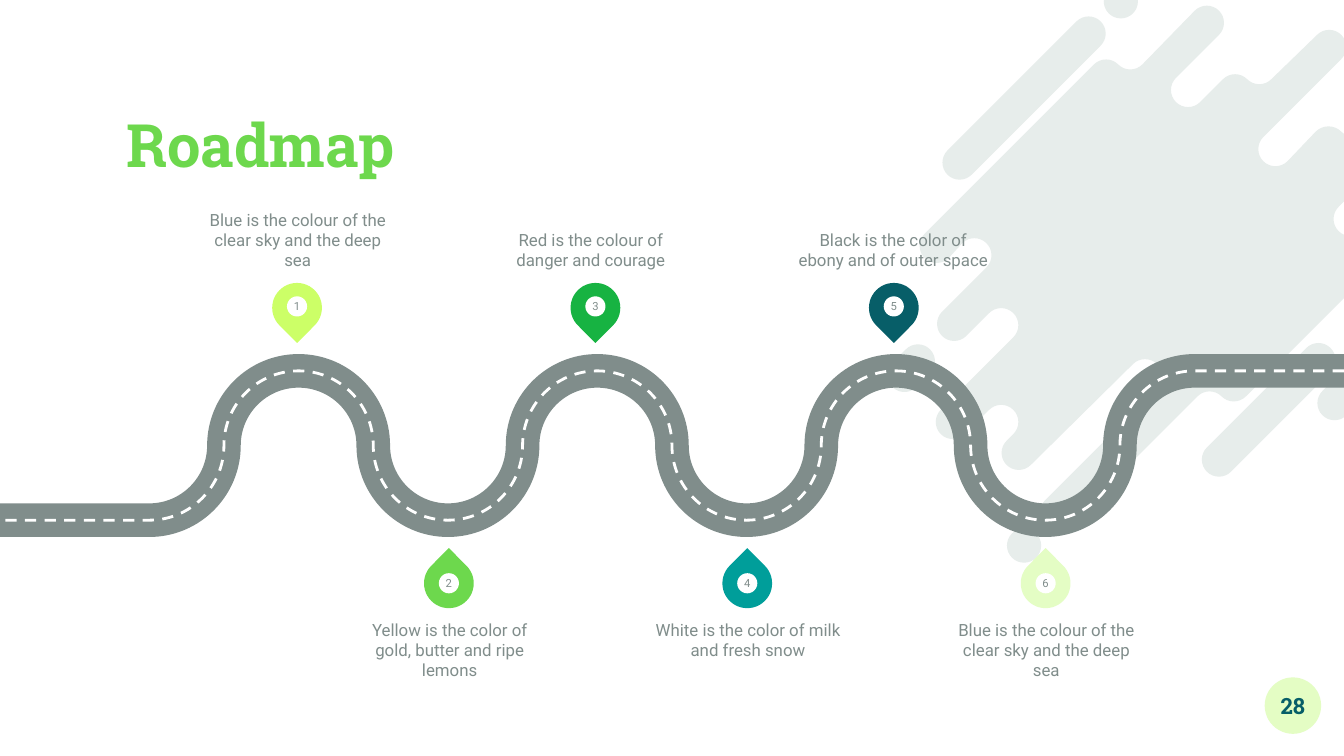
from dataclasses import dataclass
from math import hypot, sqrt

from lxml.etree import SubElement
from pptx import Presentation
from pptx.dml.color import RGBColor
from pptx.enum.dml import MSO_LINE
from pptx.enum.shapes import MSO_SHAPE
from pptx.enum.text import MSO_ANCHOR, PP_ALIGN
from pptx.oxml.ns import qn
from pptx.util import Inches, Pt


@dataclass(frozen=True)
class Theme:
    """Colours, fonts and type sizes of the slide."""
    white: str = "FFFFFF"
    splash: str = "E7EDEB"
    grey: str = "808D8B"
    green: str = "6DD84D"
    emerald: str = "17B342"
    lime: str = "CCFF67"
    pale: str = "E4FDC4"
    teal: str = "009E9A"
    petrol: str = "075E68"
    heading_font: str = "Roboto Slab"
    body_font: str = "Roboto"
    title_size: int = 32
    page_size: int = 12
    caption_size: int = 9
    number_size: int = 6


THEME = Theme()
NORTH_EAST = (sqrt(0.5), -sqrt(0.5))
WEST = (-1, 0)
CAP = 0.09
PIN_SIZE, DOT_SIZE = 0.37, 0.15
PIN_STEP = 2.22
CAPTION_WIDTH, CAPTION_HEIGHT = 1.41, 0.58

BARS = [
    (9.93, 3.00, 0.46), (10.64, 0.68, 0.24), (9.07, 3.42, 0.74), (7.62, 4.06, 0),
    (10.65, 2.27, 0), (6.73, 2.79, 0.10), (7.14, 1.21, 0.96), (8.34, 0.01, 0),
]
BLOB = [
    (7.06, 1.92), (7.16, 1.81), (7.34, 1.81), (7.34, 1.99), (7.01, 2.32), (7.01, 2.50),
    (7.19, 2.50), (7.36, 2.33), (7.54, 2.33), (7.54, 2.51), (7.00, 3.05), (7.00, 3.23),
    (7.18, 3.23), (7.36, 3.05), (7.54, 3.05), (7.54, 3.23), (7.49, 3.28), (7.49, 3.46),
    (7.67, 3.46), (8.43, 2.71), (8.61, 2.71), (8.61, 2.89), (7.77, 3.73), (7.77, 3.91),
    (7.95, 3.91), (8.91, 2.95), (9.09, 2.95), (9.27, 2.95), (10.52, 1.70), (10.52, 1.52),
    (10.34, 1.52), (10.14, 1.72), (9.96, 1.72), (9.96, 1.54), (10.45, 1.05), (10.45, 0.87),
    (10.27, 0.87), (10.16, 0.98), (9.98, 0.98), (9.79, 0.98), (9.58, 1.20), (9.40, 1.20),
    (9.40, 1.02), (9.98, 0.44), (9.98, 0.26), (9.80, 0.26), (9.46, 0.59), (9.28, 0.59),
    (9.10, 0.59), (8.93, 0.76), (8.75, 0.76), (8.75, 0.58), (9.07, 0.26), (9.07, 0.08),
    (8.89, 0.08), (8.50, 0.48), (8.32, 0.48), (8.14, 0.48), (6.88, 1.74), (6.88, 1.92),
    (7.06, 1.92),
]
UPPER_STOPS = [
    ("1", THEME.lime, 1.51, "Blue is the colour of the clear sky and the deep sea"),
    ("3", THEME.emerald, 3.69, "Red is the colour of danger and courage"),
    ("5", THEME.petrol, 5.94, "Black is the color of ebony and of outer space"),
]
LOWER_STOPS = [
    ("2", THEME.green, 2.64, "Yellow is the color of gold, butter and ripe lemons"),
    ("4", THEME.teal, 4.86, "White is the color of milk and fresh snow"),
    ("6", THEME.pale, 7.08, "Blue is the colour of the clear sky and the deep sea"),
]


def trace(points, heading):
    """Return straight segments along the heading and quarter turns elsewhere."""
    segments = []
    hx, hy = heading
    for (x, y), (next_x, next_y) in zip(points, points[1:]):
        dx, dy = next_x - x, next_y - y
        chord = hypot(dx, dy)
        cross = hx * dy - hy * dx
        if abs(cross) <= 0.1 * chord:
            segments.append([(next_x, next_y)])
            continue
        reach = 0.39 * chord
        leave = (x + reach * hx, y + reach * hy)
        hx, hy = (-hy, hx) if cross > 0 else (hy, -hx)
        arrive = (next_x - reach * hx, next_y - reach * hy)
        segments.append([leave, arrive, (next_x, next_y)])
    return segments


def add_outline(slide, contours, heading, close):
    """Draw contours of lines and quarter turns as one freeform."""
    def emu(point):
        return tuple(Inches(value) for value in point)

    builder = slide.shapes.build_freeform(*emu(contours[0][0]))
    segments = []
    for index, points in enumerate(contours):
        if index:
            builder.move_to(*emu(points[0]))
        traced = trace(points, heading)
        builder.add_line_segments([emu(p) for s in traced for p in s], close=close)
        segments += traced
    shape = builder.convert_to_shape()
    shape.shadow.inherit = False
    steps = iter(list(shape._element.iter(qn("a:lnTo"))))
    for segment in segments:
        nodes = [next(steps) for _ in segment]
        if len(nodes) == 3:
            curve = SubElement(nodes[0].getparent(), qn("a:cubicBezTo"))
            nodes[0].addprevious(curve)
            for node in nodes:
                curve.append(node[0])
                node.getparent().remove(node)
    return shape


def paint(shape, color):
    """Give a shape a plain fill without line or shadow."""
    shape.shadow.inherit = False
    shape.fill.solid()
    shape.fill.fore_color.rgb = RGBColor.from_string(color)
    shape.line.fill.background()


def write(shape, text, size, color, font, bold=False, align=PP_ALIGN.CENTER,
          anchor=MSO_ANCHOR.MIDDLE, spacing=None, wrap=True):
    """Set one formatted run in a shape without insets."""
    frame = shape.text_frame
    frame.word_wrap = wrap
    frame.vertical_anchor = anchor
    frame.margin_left = frame.margin_right = frame.margin_top = frame.margin_bottom = 0
    paragraph = frame.paragraphs[0]
    paragraph.alignment = align
    paragraph.line_spacing = spacing
    run = paragraph.add_run()
    run.text = text
    run.font.size = Pt(size)
    run.font.name = font
    run.font.bold = bold
    run.font.color.rgb = RGBColor.from_string(color)


def add_centered(shapes, kind, x, y, size, color):
    """Add a square preset shape around a centre point."""
    shape = shapes.add_shape(kind, Inches(x - size / 2), Inches(y - size / 2),
                             Inches(size), Inches(size))
    paint(shape, color)
    return shape


def add_text(slide, box, text, size, color, font, **style):
    """Add a text box with one run."""
    write(slide.shapes.add_textbox(*map(Inches, box)), text, size, color, font, **style)


def add_splash(slide):
    """Draw the diagonal background splash."""
    contours = [BLOB]
    for x, y, run in BARS:
        end_x, end_y = x + run, y - run
        contours.append([
            (x + CAP, y + CAP), (end_x + CAP, end_y + CAP), (end_x + CAP, end_y - CAP),
            (end_x - CAP, end_y - CAP), (x - CAP, y - CAP), (x - CAP, y + CAP),
            (x + CAP, y + CAP)])
    paint(add_outline(slide, contours, NORTH_EAST, True), THEME.splash)


def add_road(slide):
    """Draw the winding road and its dashed centre line."""
    top, radius = 2.76, 5 / 9
    heights = [top, top + radius, top + 2 * radius, top + radius]
    bends = [(10 - (turn + 2) * radius, heights[turn % 4]) for turn in range(15)]
    points = [(10, top), *bends, (0, bends[-1][1])]
    for color, width, dash in ((THEME.grey, 18, None), (THEME.white, 1.5, MSO_LINE.DASH)):
        lane = add_outline(slide, [points], WEST, False)
        lane.fill.background()
        lane.line.color.rgb = RGBColor.from_string(color)
        lane.line.width = Pt(width)
        lane.line.dash_style = dash


def add_stops(slide, stops, first_x, pin_y, dot_y, rotation, caption_y, anchor):
    """Add a row of numbered pins with captions."""
    for index, (number, color, caption_x, caption) in enumerate(stops):
        x = first_x + index * PIN_STEP
        group = slide.shapes.add_group_shape()
        pin = add_centered(group.shapes, MSO_SHAPE.TEAR, x, pin_y, PIN_SIZE, color)
        pin.adjustments[0] = 1
        pin.rotation = rotation
        dot = add_centered(group.shapes, MSO_SHAPE.OVAL, x, dot_y, DOT_SIZE, THEME.white)
        write(dot, number, THEME.number_size, THEME.grey, THEME.body_font, wrap=False)
        add_text(slide, (caption_x, caption_y, CAPTION_WIDTH, CAPTION_HEIGHT), caption,
                 THEME.caption_size, THEME.grey, THEME.body_font, anchor=anchor)


def main():
    """Build the roadmap slide."""
    deck = Presentation()
    deck.slide_width, deck.slide_height = Inches(10), Inches(10 * 9 / 16)
    slide = deck.slides.add_slide(deck.slide_layouts[6])
    add_centered(slide.shapes, MSO_SHAPE.OVAL, 9.62, 5.25, 0.42, THEME.pale)
    add_splash(slide)
    add_text(slide, (0.94, 0.91, 8.13, 0.43), "Roadmap", THEME.title_size, THEME.green,
             THEME.heading_font, bold=True, align=PP_ALIGN.LEFT,
             anchor=MSO_ANCHOR.BOTTOM, spacing=0.9)
    add_text(slide, (9.41, 5.04, 0.42, 0.42), "28", THEME.page_size, THEME.petrol,
             THEME.heading_font, bold=True)
    add_road(slide)
    add_stops(slide, UPPER_STOPS, 2.21, 2.29, 2.28, 135, 1.43, MSO_ANCHOR.BOTTOM)
    add_stops(slide, LOWER_STOPS, 3.34, 4.34, 4.34, 315, 4.61, MSO_ANCHOR.TOP)
    deck.save("out.pptx")


if __name__ == "__main__":
    main()
